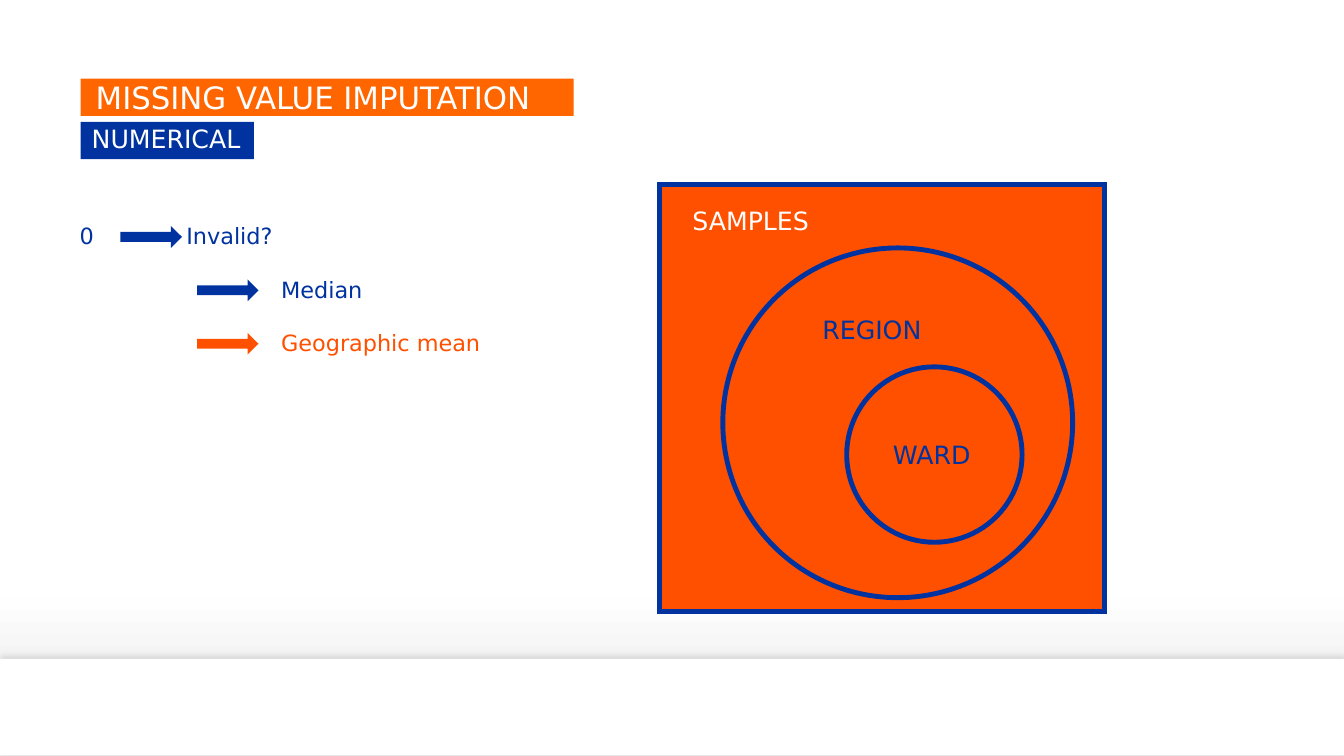
from copy import deepcopy
from dataclasses import dataclass
from typing import Any

from lxml.etree import SubElement
from pptx import Presentation
from pptx.dml.color import RGBColor
from pptx.enum.shapes import MSO_SHAPE
from pptx.enum.text import MSO_ANCHOR, PP_ALIGN
from pptx.oxml.ns import qn
from pptx.util import Emu, Inches, Pt


@dataclass(frozen=True)
class Theme:
    font: str = "DejaVu Sans"
    white: str = "FFFFFF"
    black: str = "000000"
    navy: str = "00339F"
    edge: str = "0033A0"
    flame: str = "FF5000"
    amber: str = "FF6600"
    sky: tuple = ((0, "FFFFFF"), (0.79, "FEFEFE"), (0.92, "EDEDED"))
    head: float = 22
    label: float = 18
    body: float = 16
    line: float = 3.5


@dataclass(frozen=True)
class Area:
    """Left, top, width and height in percent of the slide."""
    left: float
    top: float
    width: float
    height: float


@dataclass(frozen=True)
class Form:
    kind: Any
    area: Area
    fill: str
    edge: str = ""


@dataclass(frozen=True)
class Banner:
    text: str
    area: Area
    fill: str
    size: float
    space: float
    frame: dict


@dataclass(frozen=True)
class Label:
    text: str
    left: float
    top: float
    color: str


@dataclass(frozen=True)
class Row:
    text: str
    color: str
    indent: float = 0


THEME = Theme()
deck = Presentation()
deck.slide_width, deck.slide_height = Inches(13.33), Inches(7.5)
slide = deck.slides.add_slide(deck.slide_layouts[6])


def apply(target: Any, values: dict) -> None:
    for name, value in values.items():
        setattr(target, name, value)


def place(area: Area) -> tuple:
    wide, high = deck.slide_width / 100, deck.slide_height / 100
    return tuple(Emu(round(n)) for n in (
        area.left * wide, area.top * high, area.width * wide, area.height * high))


def draw(form: Form) -> Any:
    shape = slide.shapes.add_shape(form.kind, *place(form.area))
    shape.shadow.inherit = False
    shape.fill.solid()
    shape.fill.fore_color.rgb = RGBColor.from_string(form.fill)
    if form.edge:
        shape.line.color.rgb = RGBColor.from_string(form.edge)
        shape.line.width = Pt(THEME.line)
        SubElement(shape._element.spPr.find(qn("a:ln")), qn("a:miter"), lim="800000")
    else:
        shape.line.fill.background()
    return shape


def write(par: Any, text: str, size: float, color: str) -> None:
    run = par.add_run()
    run.text = text
    apply(run.font, {"name": THEME.font, "size": Pt(size)})
    run.font.color.rgb = RGBColor.from_string(color)


def add_box(area: Area) -> Any:
    frame = slide.shapes.add_textbox(*place(area)).text_frame
    frame.word_wrap = True
    return frame


def add_banner(item: Banner) -> None:
    frame = draw(Form(MSO_SHAPE.RECTANGLE, item.area, item.fill)).text_frame
    apply(frame, {"word_wrap": True, "margin_top": Inches(0.04), **item.frame})
    par = frame.paragraphs[0]
    apply(par, {"alignment": PP_ALIGN.LEFT, "line_spacing": item.space})
    write(par, item.text, item.size, THEME.white)


def add_label(item: Label) -> None:
    frame = add_box(Area(item.left, item.top, 12.75, 5.33))
    write(frame.paragraphs[0], item.text, THEME.label, item.color)


def add_rows(area: Area, rows: tuple) -> None:
    frame = add_box(area)
    for i, row in enumerate(rows):
        par = frame.add_paragraph() if i else frame.paragraphs[0]
        apply(par, {"line_spacing": 0.95, "space_before": Pt(10 if i else 0),
                    "space_after": Pt(10)})
        props = par._p.get_or_add_pPr()
        props.set("marL", str(Inches(row.indent)))
        props.set("indent", "0")
        write(par, row.text, THEME.body, row.color)


# Background fading to grey
back = slide.background.fill
back.gradient()
back.gradient_angle = 270
stops = slide.background._cSld.find(".//" + qn("a:gsLst"))
stops.append(deepcopy(stops[0]))
for stop, (spot, color) in zip(back.gradient_stops, THEME.sky):
    stop.color.rgb = RGBColor.from_string(color)
    stop.position = spot

# Footer band with a soft shadow above it
band = draw(Form(MSO_SHAPE.RECTANGLE, Area(0, 87.2, 100, 12.67), THEME.white))
glow = SubElement(band._element.spPr.find(qn("a:effectLst")), qn("a:outerShdw"),
                  blurRad=str(Pt(4)), dist=str(Pt(3)), dir=str(270 * 60000),
                  algn="b", rotWithShape="0")
shade = SubElement(glow, qn("a:srgbClr"), val=THEME.black)
SubElement(shade, qn("a:alpha"), val="10000")

# Nested sets
for kind, area in (
    (MSO_SHAPE.RECTANGLE, Area(49.05, 24.4, 33.15, 56.53)),
    (MSO_SHAPE.FLOWCHART_CONNECTOR, Area(53.78, 32.8, 26.03, 46.27)),
    (MSO_SHAPE.FLOWCHART_CONNECTOR, Area(63, 48.53, 13.05, 23.2)),
):
    draw(Form(kind, area, THEME.flame, THEME.edge))

# Headings
for banner in (
    Banner("NUMERICAL", Area(6, 16.13, 12.9, 4.93), THEME.navy, THEME.label, 0.95,
           {"margin_left": Inches(0.11), "margin_right": 0,
            "margin_bottom": Inches(0.04), "vertical_anchor": MSO_ANCHOR.TOP}),
    Banner("MISSING VALUE IMPUTATION", Area(6, 10.4, 36.68, 4.93), THEME.amber,
           THEME.head, 0.9,
           {"margin_left": Inches(0.15), "margin_right": Inches(0.16),
            "margin_bottom": 0, "vertical_anchor": MSO_ANCHOR.BOTTOM}),
):
    add_banner(banner)

# Zero value, its options and their arrows
add_rows(Area(5.18, 29, 3.5, 5.33), (Row("0", THEME.navy),))
add_rows(Area(5.18, 29, 43, 20), (
    Row("Invalid?", THEME.navy, 1.06),
    Row("Median", THEME.navy, 2),
    Row("Geographic mean", THEME.flame, 2),
))
for i, (left, fill, edge) in enumerate((
    (9.15, THEME.white, THEME.edge),
    (14.85, THEME.white, THEME.edge),
    (14.85, THEME.flame, THEME.flame),
)):
    draw(Form(MSO_SHAPE.RIGHT_ARROW, Area(left, 30.67 + 7.07 * i, 4.13, 1.33), fill, edge))

# Set names
for label in (
    Label("WARD", 65.7, 57.47, THEME.navy),
    Label("REGION", 60.45, 40.93, THEME.navy),
    Label("SAMPLES", 50.78, 26.53, THEME.white),
):
    add_label(label)

deck.save("out.pptx")
